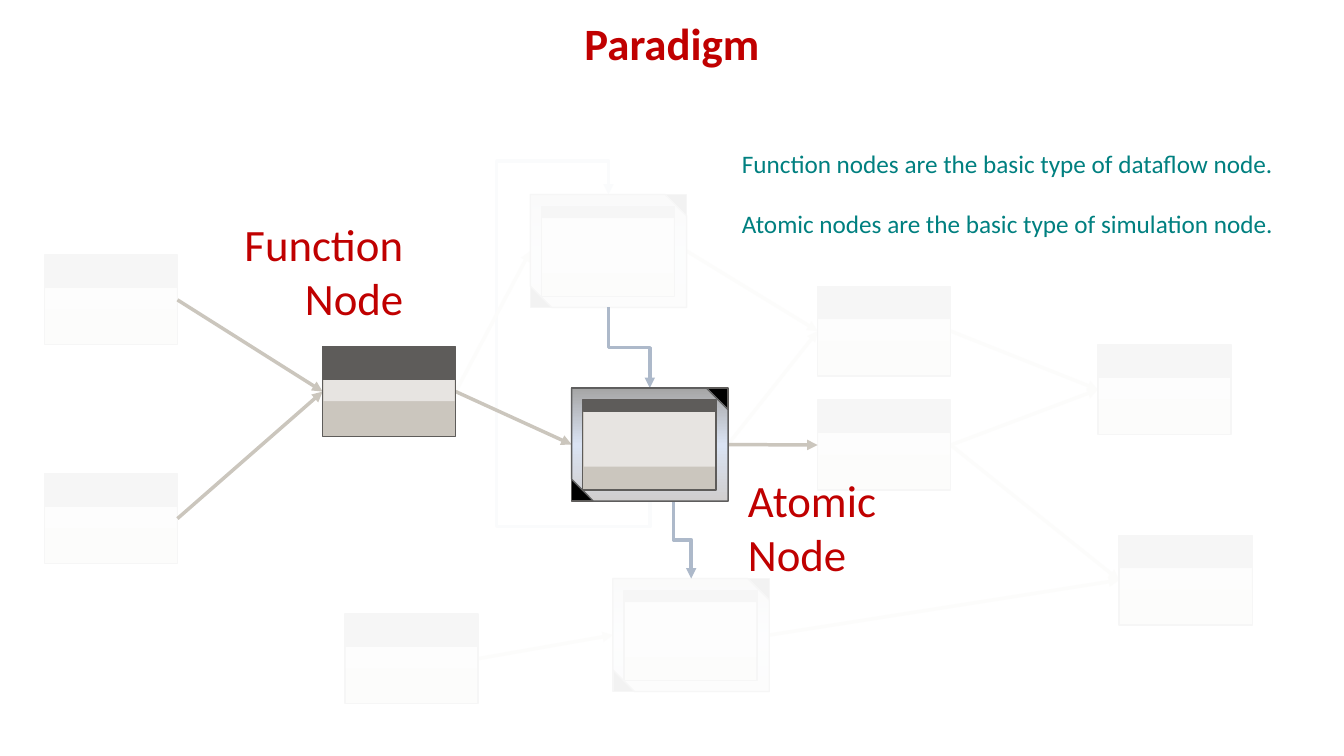
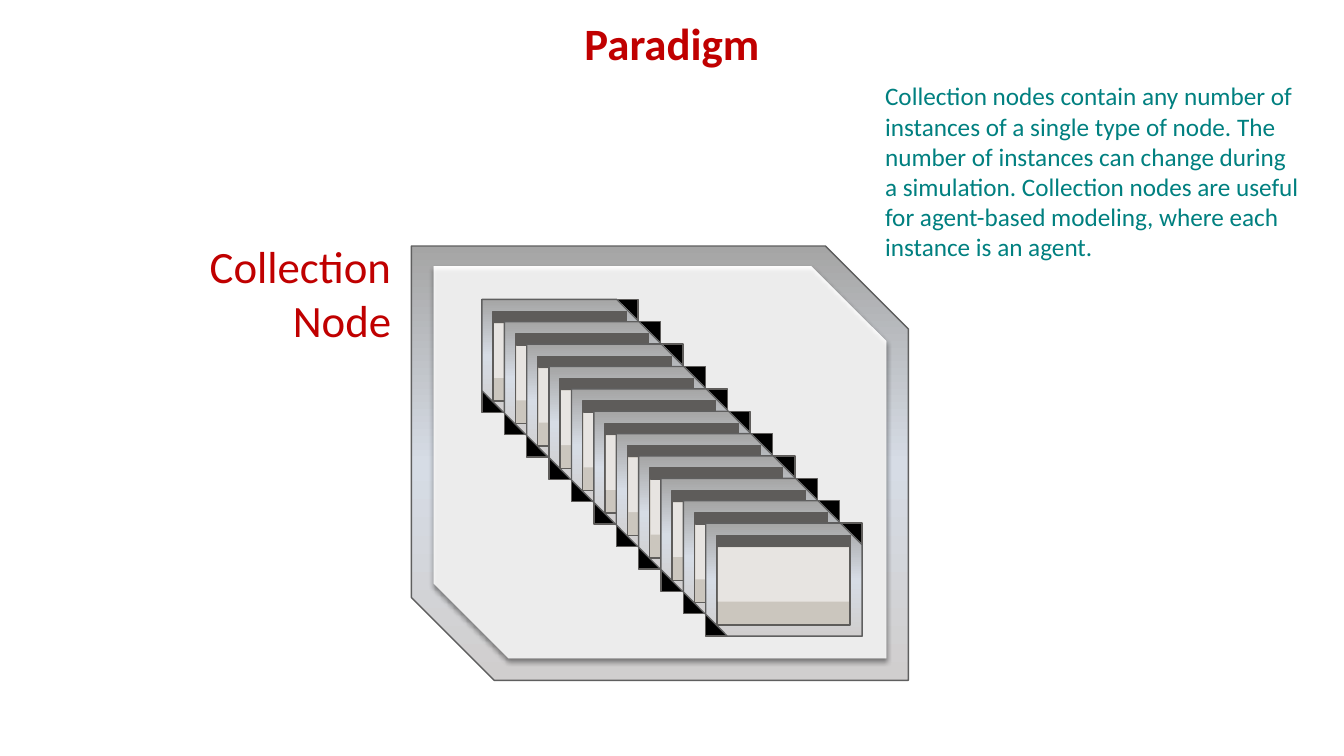
import copy

import pptx
import pptx.dml.color
import pptx.enum.shapes
import pptx.enum.text
import pptx.oxml
import pptx.oxml.ns
import pptx.util

Inches, Pt = pptx.util.Inches, pptx.util.Pt
SHAPE = pptx.enum.shapes.MSO_SHAPE
CONNECTOR = pptx.enum.shapes.MSO_CONNECTOR
ALIGN = pptx.enum.text.PP_ALIGN
ANCHOR = pptx.enum.text.MSO_ANCHOR
qn = pptx.oxml.ns.qn

SLIDE_SIZE = (13.33, 7.5)
TITLE = "Paradigm"
TITLE_AREA = (0, 0.16, 13.33, 0.59)
RED, TEAL, WHITE, BLACK = "C00000", "008080", "FFFFFF", "000000"
DARK, SAND, PALE, FRAME = "5E5C5A", "CBC6BE", "E7E4E1", "5F5F5F"
DATA_LINE, TIME_LINE = "CBC6BD", "ADB9CA"
STEEL, SKY = "D6DCE5", "DAE3F3"
SNIP = 0.191

LABEL = {"name": "Calibri", "size": Pt(32), "color": RED, "bold": False}
NOTE = {**LABEL, "size": Pt(18), "color": TEAL}
HEADING = {**LABEL, "bold": True}

FUNCTION_SIZE, ATOMIC_SIZE = (1.32, 0.89), (1.55, 1.12)
# Parts of each node: offset and size, fill, line
FUNCTION_PARTS = [
    ((0, 0.32, 1.32, 0.57), SAND, DARK),
    ((0.01, 0.33, 1.3, 0.21), PALE, None),
    ((0, 0, 1.32, 0.32), DARK, DARK),
]
ATOMIC_PARTS = [
    ((0.11, 0.12, 1.32, 0.89), SAND, DARK),
    ((0.12, 0.24, 1.3, 0.54), PALE, None),
    ((0.12, 0.12, 1.31, 0.11), DARK, DARK),
]

FUNCTIONS = {
    "input low": (0.44, 4.7), "input high": (0.44, 2.53),
    "step high": (8.11, 2.84), "step low": (8.11, 3.97),
    "result high": (10.89, 3.42), "result low": (11.1, 5.31),
    "source": (3.42, 6.09), "function": (3.2, 3.44),
}
ATOMICS = {
    "lower": ((6.08, 5.74), SKY),
    "upper": ((5.26, 1.93), STEEL),
    "atomic": ((5.67, 3.85), SKY),
}
FEATURED = ["atomic", "function"]
FADED = [name for name in [*ATOMICS, *FUNCTIONS] if name not in FEATURED]
FADED_LINKS = [
    ("function", "upper"), ("upper", "step high"), ("source", "lower"),
    ("step low", "result low"), ("lower", "result low"),
    ("step high", "result high"), ("step low", "result high"),
    ("atomic", "step high"),
]
FEATURED_LINKS = [
    ("input high", "function"), ("input low", "function"),
    ("function", "atomic"), ("atomic", "step low"),
]
VEIL_AREA = (0, 1.08, 13.33, 6)
LOOP_BENDS = (-0.084, 3.705, 1.11)

STACK_FIRST, STACK_LAST, STACK_COUNT = (4.78, 2.97), (7, 5.19), 11
CASE_AREA, PANEL_AREA = (4.08, 2.44, 4.93, 4.31), (4.3, 2.64, 4.49, 3.89)


def rgb(value):
    return pptx.dml.color.RGBColor.from_string(value)


def lengths(area):
    return [Inches(value) for value in area]


def add_element(parent, tag, **attributes):
    child = pptx.oxml.ns.qn(tag)
    element = parent.makeelement(child, attributes)
    parent.append(element)
    return element


def add_block(shapes, area, fill, line=None, kind=SHAPE.RECTANGLE, opacity=100):
    """Add a shape; a list as fill makes an upward gradient."""
    block = shapes.add_shape(kind, *lengths(area))
    block.shadow.inherit = False
    if kind == SHAPE.SNIP_2_DIAG_RECTANGLE:
        block.adjustments[0], block.adjustments[1] = 0, SNIP
    if isinstance(fill, list):
        block.fill.gradient()
        block.fill.gradient_angle = 90
        stops = block._element.spPr.find(".//" + qn("a:gsLst"))
        stops.insert(1, copy.deepcopy(stops[0]))
        for index, stop in enumerate(block.fill.gradient_stops):
            stop.color.rgb = rgb(fill[index])
            stop.position = index / 2
    else:
        block.fill.solid()
        block.fill.fore_color.rgb = rgb(fill)
    if opacity < 100:
        color = block._element.spPr.find(qn("a:solidFill"))[0]
        add_element(color, "a:alpha", val=str(opacity * 1000))
    if line:
        block.line.color.rgb = rgb(line)
        block.line.width = Pt(1)
    else:
        block.line.fill.background()
    return block


def add_case(shapes, area, middle):
    add_block(shapes, area, ["D0CECE", middle, "A5A5A5"], FRAME,
              SHAPE.SNIP_2_DIAG_RECTANGLE)


def add_parts(shapes, corner, parts):
    left, top = corner
    for (x, y, width, height), fill, line in parts:
        add_block(shapes, (left + x, top + y, width, height), fill, line)


def add_function(page, corner):
    add_parts(page.shapes.add_group_shape().shapes, corner, FUNCTION_PARTS)


def add_atomic(page, corner, middle=STEEL):
    shapes = page.shapes.add_group_shape().shapes
    area = (*corner, *ATOMIC_SIZE)
    add_block(shapes, area, BLACK, DARK)
    add_case(shapes, area, middle)
    add_parts(shapes, corner, ATOMIC_PARTS)


def add_node(page, name):
    if name in ATOMICS:
        add_atomic(page, *ATOMICS[name])
    else:
        add_function(page, FUNCTIONS[name])


def port(name, across, down):
    """Point on a node, as fractions of its width and height."""
    if name in ATOMICS:
        (left, top), (width, height) = ATOMICS[name][0], ATOMIC_SIZE
    else:
        (left, top), (width, height) = FUNCTIONS[name], FUNCTION_SIZE
    return left + across * width, top + down * height


def style_arrow(arrow, color):
    arrow.line.color.rgb = rgb(color)
    arrow.line.width = Pt(2.5)
    add_element(arrow.line._get_or_add_ln(), "a:tailEnd", type="triangle")
    add_element(arrow._element.spPr, "a:effectLst")


def add_links(page, links):
    for origin, target in links:
        ends = lengths(port(origin, 1, 0.5) + port(target, 0, 0.5))
        style_arrow(page.shapes.add_connector(CONNECTOR.STRAIGHT, *ends), DATA_LINE)


def add_bent_arrow(page, start, end, bends=(0.5,)):
    """Elbow that leaves and arrives vertically: a turned, flipped connector."""
    (x1, y1), (x2, y2) = start, end
    width, height = abs(y2 - y1), abs(x2 - x1)
    left, top = (x1 + x2 - width) / 2, (y1 + y2 - height) / 2
    arrow = page.shapes.add_connector(
        CONNECTOR.ELBOW, *lengths((left, top, left + width, top + height)))
    properties = arrow._element.spPr
    frame = properties.find(qn("a:xfrm"))
    frame.set("rot", str((270 if y2 > y1 else 90) * 60000))
    frame.set("flipH", "1")
    geometry = properties.find(qn("a:prstGeom"))
    geometry.set("prst", f"bentConnector{len(bends) + 2}")
    for old in list(geometry):
        geometry.remove(old)
    guides = add_element(geometry, "a:avLst")
    for index, bend in enumerate(bends, 1):
        add_element(guides, "a:gd", name=f"adj{index}",
                    fmla=f"val {round(bend * 100000)}")
    style_arrow(arrow, TIME_LINE)


def write(box, lines, style, align=ALIGN.LEFT, gap=0):
    frame = box.text_frame
    frame.word_wrap = True
    frame.auto_size = pptx.enum.text.MSO_AUTO_SIZE.NONE
    for index, line in enumerate(lines):
        para = frame.paragraphs[0] if index == 0 else frame.add_paragraph()
        para.alignment = align
        if index:
            para.space_before = Pt(gap)
        span = para.add_run()
        span.text = line
        for key, value in style.items():
            if key == "color":
                span.font.color.rgb = rgb(value)
            else:
                setattr(span.font, key, value)


def add_text(page, area, lines, style, **options):
    write(page.shapes.add_textbox(*lengths(area)), lines, style, **options)


def add_page(deck):
    page = deck.slides.add_slide(deck.slide_layouts[5])
    title = page.shapes.title
    title.left, title.top, title.width, title.height = lengths(TITLE_AREA)
    write(title, [TITLE], HEADING, align=ALIGN.CENTER)
    title.text_frame.vertical_anchor = ANCHOR.BOTTOM
    title.text_frame.paragraphs[0].line_spacing = 0.9
    return page


def build_basic_nodes(deck):
    page = add_page(deck)
    add_bent_arrow(page, port("atomic", 0.5, 1), port("upper", 0.5, 0), LOOP_BENDS)
    add_links(page, FADED_LINKS)
    for name in FADED:
        add_node(page, name)
    add_block(page.shapes, VEIL_AREA, WHITE, opacity=95)
    add_bent_arrow(page, port("upper", 0.5, 1), port("atomic", 0.5, 0))
    add_bent_arrow(page, port("atomic", 0.65, 1), port("lower", 0.5, 0))
    add_links(page, FEATURED_LINKS)
    for name in FEATURED:
        add_node(page, name)
    add_text(page, (1.76, 2.1, 2.34, 1.18), ["Function", "Node"], LABEL,
             align=ALIGN.RIGHT)
    add_text(page, (7.32, 4.64, 1.97, 1.18), ["Atomic", "Node"], LABEL)
    add_text(page, (7.26, 1.42, 5.57, 1.01), [
        "Function nodes are the basic type of dataflow node.",
        "Atomic nodes are the basic type of simulation node.",
    ], NOTE, gap=21.6)


def build_collection_node(deck):
    page = add_page(deck)
    add_case(page.shapes, CASE_AREA, STEEL)
    for opacity in (100, 35):
        panel = add_block(page.shapes, PANEL_AREA, WHITE,
                          kind=SHAPE.SNIP_2_DIAG_RECTANGLE, opacity=opacity)
        effects = panel._element.spPr.find(qn("a:effectLst"))
        shadow = add_element(effects, "a:outerShdw", blurRad=str(Pt(3.5)),
                             dist=str(Pt(2.2)), dir="5400000", rotWithShape="0")
        color = add_element(shadow, "a:srgbClr", val=BLACK)
        add_element(color, "a:alpha", val="32000")
    for index in range(STACK_COUNT):
        share = index / (STACK_COUNT - 1)
        add_atomic(page, [first + (last - first) * share
                          for first, last in zip(STACK_FIRST, STACK_LAST)])
    add_text(page, (0.68, 2.32, 3.3, 1.18), ["Collection", "Node"], LABEL,
             align=ALIGN.RIGHT)
    add_text(page, (8.68, 0.75, 4.32, 1.92), [
        "Collection nodes contain any number of instances of a single type of "
        "node. The number of instances can change during a simulation. "
        "Collection nodes are useful for agent-based modeling, where each "
        "instance is an agent.",
    ], NOTE)


def main():
    deck = pptx.Presentation()
    deck.slide_width, deck.slide_height = lengths(SLIDE_SIZE)
    build_basic_nodes(deck)
    build_collection_node(deck)
    deck.save("out.pptx")


if __name__ == "__main__":
    main()
